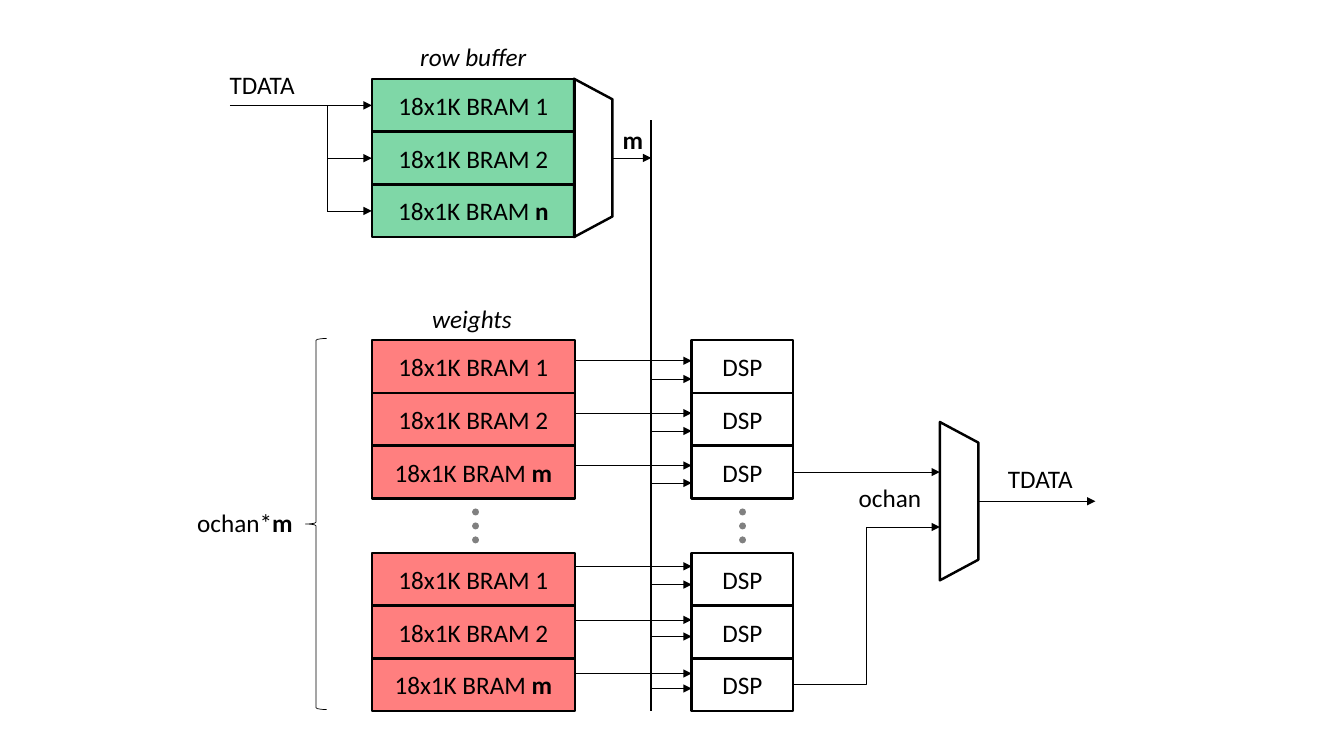
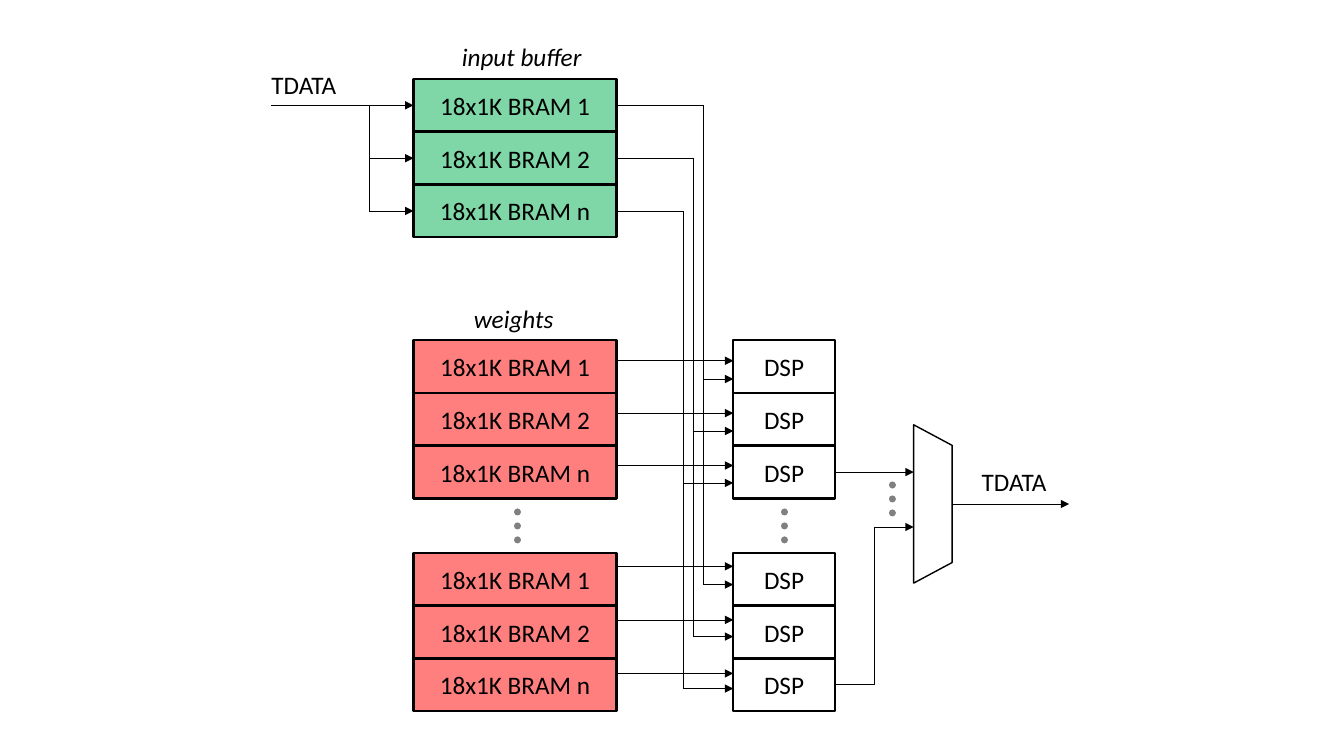
"""Draw two block diagrams of convolution engines built from BRAM and DSP blocks."""
from lxml.etree import SubElement
from pptx import Presentation
from pptx.dml.color import RGBColor
from pptx.enum.dml import MSO_LINE
from pptx.enum.shapes import MSO_CONNECTOR, MSO_SHAPE
from pptx.enum.text import MSO_ANCHOR, MSO_AUTO_SIZE, PP_ALIGN
from pptx.oxml.ns import qn
from pptx.util import Cm, Pt

COLORS = {"ink": "000000", "dots": "808080", "buffer": "00B050", "weights": "FF0000"}
FONT = {"name": "Calibri", "size": Pt(18)}
THIN, MEDIUM, BUS, THICK, DOTS = 0.5, 1, 1.5, 1.75, 5
BLANK, LEFT, RIGHT = 6, 1, 3
ROW_H, BRAM_W, DSP_W = 1.33, 5.12, 2.56
BRAM_X, DSP_X = 9.37, 17.43
BRAM_END, DSP_END = BRAM_X + BRAM_W, DSP_X + DSP_W
BUFFER_Y, BANKS_Y = 1.99, (8.57, 13.93)
WEIGHT_LINES = ((9.09, 1.32), (14.27, 1.35))
DATA_LINES = ((9.55, 1.31), (14.73, 1.31))
MUX_W, MUX_H = 0.97, 3.99
MUX_LOW_Y = 13.28
TRUNK_X, BUS_X, LANE_GAP = 8.25, 16.41, 0.26


def color(name):
    return RGBColor.from_string(COLORS[name])


def row_mid(top, row):
    return top + (row + 0.5) * ROW_H


class Diagram:
    def __init__(self, prs, shift=0):
        self.shapes = prs.slides.add_slide(prs.slide_layouts[BLANK]).shapes
        self.shift = shift

    def place(self, x, y):
        return Cm(x + self.shift), Cm(y)

    def fill_text(self, tf, text, bold_tail="", **formats):
        tf.word_wrap = False
        p = tf.paragraphs[0]
        for part, bold in ((text, False), (bold_tail, True)):
            if part:
                r = p.add_run()
                r.text = part
                for key, value in {**FONT, "bold": bold, **formats}.items():
                    setattr(r.font, key, value)
                r.font.color.rgb = color("ink")
        return p

    def label(self, x, y, w, text, bold_tail="", **formats):
        sp = self.shapes.add_textbox(*self.place(x, y), Cm(w), Cm(1.02))
        self.fill_text(sp.text_frame, text, bold_tail, **formats)
        sp.text_frame.auto_size = MSO_AUTO_SIZE.SHAPE_TO_FIT_TEXT

    def shape(self, kind, x, y, w, h, width, fill=None):
        sp = self.shapes.add_shape(kind, *self.place(x, y), Cm(w), Cm(h))
        sp.shadow.inherit = False
        if fill:
            sp.fill.solid()
            sp.fill.fore_color.rgb = color(fill)
            rgb = sp._element.spPr.find(".//" + qn("a:srgbClr"))
            SubElement(rgb, qn("a:alpha")).set("val", "50000")
        else:
            sp.fill.background()
        sp.line.color.rgb = color("ink")
        sp.line.width = Pt(width)
        return sp

    def stack(self, x, y, w, texts, fill=None):
        blocks = []
        for row, text in enumerate(texts):
            sp = self.shape(MSO_SHAPE.RECTANGLE, x, y + row * ROW_H, w, ROW_H, THICK, fill)
            p = self.fill_text(sp.text_frame, *text)
            p.alignment = PP_ALIGN.CENTER
            sp.text_frame.vertical_anchor = MSO_ANCHOR.MIDDLE
            blocks.append(sp)
        return blocks

    def mux(self, cx, cy, width):
        sp = self.shape(MSO_SHAPE.TRAPEZOID, cx - MUX_H / 2, cy - MUX_W / 2, MUX_H, MUX_W, width)
        sp.adjustments[0] = 0.536
        sp.rotation = 90

    def line(self, x1, y1, x2, y2, arrow=False, width=THIN, ink="ink", dotted=False,
             kind=MSO_CONNECTOR.STRAIGHT, start=None, end=None):
        c = self.shapes.add_connector(kind, *self.place(x1, y1), *self.place(x2, y2))
        c.line.color.rgb = color(ink)
        c.line.width = Pt(width)
        spPr = c._element.spPr
        ln = spPr.find(qn("a:ln"))
        if dotted:
            c.line.dash_style = MSO_LINE.ROUND_DOT
            ln.set("cap", "rnd")
        if arrow:
            SubElement(ln, qn("a:tailEnd")).set("type", "triangle")
        SubElement(spPr, qn("a:effectLst"))
        if start:
            c.begin_connect(start, RIGHT)
        if end:
            c.end_connect(end, LEFT)

    def dots(self, x, y):
        self.line(x, y, x, y + 1.04, width=DOTS, ink="dots", dotted=True)

    def buffer(self, title, title_w, brams):
        blocks = self.stack(BRAM_X, BUFFER_Y, BRAM_W, brams, "buffer")
        self.label(10.34, 0.91, title_w, title, italic=True)
        self.label(5.54, 1.63, 2.16, "TDATA")
        ys = [row_mid(BUFFER_Y, row) for row in range(len(blocks))]
        self.line(TRUNK_X, ys[0], TRUNK_X, ys[-1])
        for row, (y, block) in enumerate(zip(ys, blocks)):
            self.line(TRUNK_X if row else 5.79, y, BRAM_X, y, arrow=True, end=block)
        return blocks

    def banks(self, brams, lanes):
        last_dsps = []
        self.label(10.64, 7.52, 2.54, "weights", italic=True)
        for top, weight, data in zip(BANKS_Y, WEIGHT_LINES, DATA_LINES):
            self.stack(BRAM_X, top, BRAM_W, brams, "weights")
            last_dsps.append(self.stack(DSP_X, top, DSP_W, [("DSP",)] * len(brams))[-1])
            for row, lane in enumerate(lanes):
                for x, (y, pitch) in ((BRAM_END, weight), (lane, data)):
                    self.line(x, y + row * pitch, DSP_X, y + row * pitch, arrow=True)
        for x in (11.99, 18.72):
            self.dots(x, 12.9)
        return last_dsps

    def output(self, cx, cy, width, dsps):
        self.mux(cx, cy, width)
        x = cx - MUX_W / 2
        upper, lower = (row_mid(top, 2) for top in BANKS_Y)
        self.line(DSP_END, upper, x, upper, arrow=True, start=dsps[0])
        self.line(DSP_END, lower, x, MUX_LOW_Y, arrow=True, kind=MSO_CONNECTOR.ELBOW, start=dsps[1])
        x = cx + MUX_W / 2
        self.line(x, cy, x + 2.95, cy, arrow=True)
        self.label(cx + 0.98, cy - 1.07, 2.16, "TDATA")


def bram_texts(last, bold):
    name = "18x1K BRAM "
    return [(name + "1",), (name + "2",), (name, last) if bold else (name + last,)]


def row_buffer_slide(prs):
    s = Diagram(prs)
    s.buffer("row buffer", 3.23, bram_texts("n", True))
    s.mux(14.95, 3.98, THICK)
    s.line(15.43, 3.98, BUS_X, 3.98, arrow=True)
    s.line(BUS_X, 17.91, BUS_X, 3.02, width=BUS)
    s.label(15.44, 3.02, 1.02, "", "m")
    dsps = s.banks(bram_texts("m", True), [BUS_X] * 3)
    s.shape(MSO_SHAPE.LEFT_BRACE, 7.7, 8.53, 0.53, 9.35, THIN)
    s.label(4.72, 12.65, 2.92, "ochan*", "m")
    s.output(24.17, 12.63, THICK, dsps)
    s.label(21.39, 12.04, 2.08, "ochan")


def input_buffer_slide(prs):
    s = Diagram(prs, shift=1.05)
    brams = bram_texts("n", False)
    lanes = [16.68 - row * LANE_GAP for row in range(3)]
    blocks = s.buffer("input buffer", 3.58, brams)
    dsps = s.banks(brams, lanes)
    low_y, pitch = DATA_LINES[-1]
    for row, (x, block) in enumerate(zip(lanes, blocks)):
        y = row_mid(BUFFER_Y, row)
        s.line(BRAM_END, y, x, y, start=block)
        s.line(x, low_y + row * pitch, x, y)
    s.output(22.46, 12.7, MEDIUM, dsps)
    s.dots(21.43, 12.22)


def main():
    prs = Presentation()
    prs.slide_width, prs.slide_height = Cm(33.87), Cm(19.05)
    row_buffer_slide(prs)
    input_buffer_slide(prs)
    prs.save("out.pptx")


if __name__ == "__main__":
    main()
